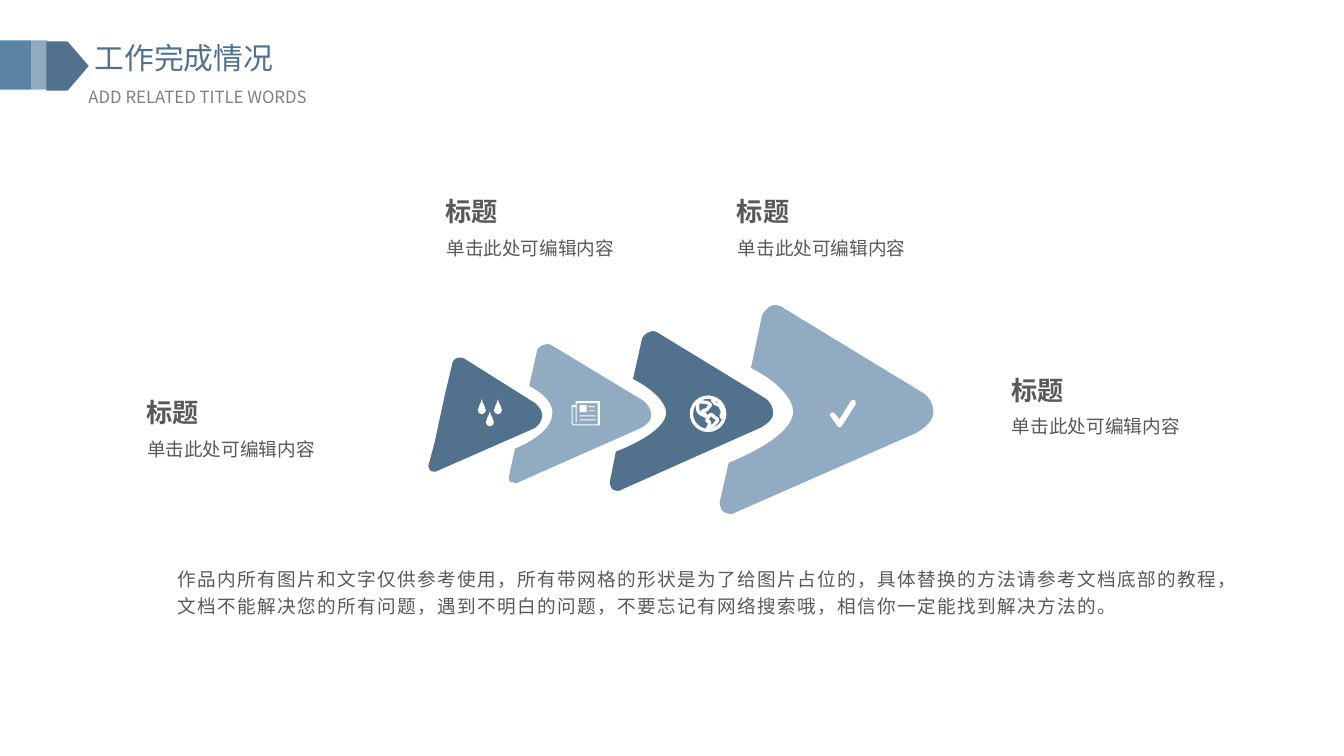
from lxml.etree import SubElement
from pptx import Presentation
from pptx.dml.color import RGBColor
from pptx.enum.shapes import MSO_SHAPE
from pptx.enum.text import MSO_ANCHOR
from pptx.oxml.ns import qn
from pptx.util import Emu, Pt

PX = 9144  # EMU in one px, a hundredth of an inch
SLIDE_SIZE = Emu(12192000), Emu(6858000)
FONT = "Noto Sans CJK SC"
WHITE = RGBColor(0xFF, 0xFF, 0xFF)
PAPER = RGBColor(0xFC, 0xFC, 0xFC)
NAVY = RGBColor(0x51, 0x71, 0x8D)
BLUE = RGBColor(0x5B, 0x83, 0xA4)
PALE = RGBColor(0x91, 0xAA, 0xC0)
SKY = RGBColor(0x91, 0xAC, 0xC2)
GREY = RGBColor(0x80, 0x80, 0x80)
INK = RGBColor(0x59, 0x59, 0x59)

# In an outline a pair is a corner and a sextuple is a Bézier curve.
LEADERS = [
    [(892, 377), (922, 345), (1171, 345)],
    [(488, 410), (458, 379), (209, 379)],
    [(686, 378), (697, 328), (759, 269)],
    [(572, 377), (561, 327), (498, 268)],
]
DROPLET_ARROW = [
    (442, 389), (449, 360), (449, 360, 450, 356, 454, 355),
    (458, 354, 461, 356, 461, 356), (531, 400),
    (531, 400, 538, 406, 538, 411), (538, 421, 530, 425, 530, 425),
    (432, 468), (432, 468, 429, 468, 427, 467),
    (425, 465, 425, 462, 425, 462), (431, 440)]
CHECK_ARROW = [
    (926, 409), (926, 421, 908, 430, 908, 430), (726, 510),
    (726, 510, 720, 510, 717, 507), (714, 504, 714, 498, 714, 498),
    (723, 459), (723, 459, 787, 435, 787, 408),
    (785, 384, 745, 365, 745, 365), (756, 313),
    (756, 313, 759, 306, 766, 303), (772, 301, 778, 306, 778, 306),
    (916, 390), (916, 390, 926, 396, 926, 409)]
NEWS_ARROW = [
    (646, 412), (646, 420, 635, 425, 635, 425), (513, 479),
    (513, 479, 509, 479, 506, 478), (504, 475, 505, 472, 505, 472),
    (511, 445), (511, 445, 548, 431, 548, 410),
    (549, 394, 525, 383, 525, 383), (533, 347),
    (533, 347, 535, 343, 540, 342), (544, 340, 548, 343, 548, 343),
    (639, 398), (639, 398, 646, 404, 646, 412)]
GLOBE_ARROW = [
    (767, 410), (767, 419, 753, 425, 753, 425), (614, 487),
    (614, 487, 609, 487, 607, 485), (605, 482, 605, 478, 605, 478),
    (611, 448), (611, 448, 661, 430, 661, 409),
    (659, 391, 628, 376, 628, 376), (637, 336),
    (637, 336, 639, 331, 645, 329), (649, 327, 654, 331, 654, 331),
    (759, 395), (759, 395, 767, 400, 767, 410)]
DROP = [(0, 0), (-1, 6, -4, 7, -4, 11), (-4, 13, -2, 15, 0, 15),
        (2, 15, 4, 13, 4, 11), (4, 7, 1, 6, 0, 0)]
DROP_TIPS = [(478, 396), (494, 396), (486, 408)]
CHECK = [(833, 424), (832, 424, 831, 423, 831, 423), (824, 413),
         (823, 412, 823, 411, 824, 410), (825, 409, 827, 409, 828, 410),
         (833, 416), (844, 398), (845, 397, 847, 396, 848, 397),
         (849, 398, 849, 399, 849, 401), (835, 423),
         (835, 423, 834, 424, 833, 424)]
NEWSPAPER = [
    [(595, 398), (571, 398), (571, 402), (567, 402), (567, 420),
     (567, 421, 568, 422, 569, 422), (595, 422)],
    [(593, 421), (569, 421), (568, 420), (568, 404), (571, 404), (571, 419),
     (572, 419), (572, 400), (593, 400)],
]
NEWS_ITEMS = [(575, 402, 7, 7), (584, 403, 6, 1), (584, 407, 6, 1),
              (575, 412, 16, 1), (575, 416, 16, 1)]
NORTH_LAND = [(692, 404), (692, 406, 692, 409, 696, 411),
              (700, 413, 701, 413, 701, 413), (701, 414, 700, 414, 700, 412),
              (701, 411, 700, 412, 699, 412), (699, 412, 699, 411, 699, 410),
              (699, 409, 698, 411, 697, 409), (697, 408, 698, 407, 699, 407),
              (702, 408, 701, 406, 703, 404), (708, 401, 702, 399, 698, 399),
              (695, 398, 691, 399, 692, 401), (693, 402, 692, 403, 692, 404)]
SOUTH_LAND = [(702, 416), (702, 418, 700, 416, 702, 418),
              (704, 420, 704, 416, 704, 420), (704, 425, 700, 425, 703, 424),
              (706, 423, 706, 424, 708, 422), (710, 420, 711, 418, 712, 417),
              (713, 415, 711, 416, 709, 414), (708, 413, 706, 410, 704, 412),
              (702, 414, 702, 416, 702, 416)]
EAST_COAST = [(707, 395), (707, 396, 707, 399, 709, 400),
              (710, 401, 715, 402, 715, 404), (715, 406, 717, 407, 717, 409),
              (716, 411, 714, 413, 716, 414), (718, 416, 718, 415, 718, 415)]
CAPTIONS = [(442, 194), (731, 194), (1003, 371), (145, 393)]
NOTE = ("作品内所有图片和文字仅供参考使用，所有带网格的形状是为了给图片占位的，"
        "具体替换的方法请参考文档底部的教程，文档不能解决您的所有问题，"
        "遇到不明白的问题，不要忘记有网络搜索哦，相信你一定能找到解决方法的。")


def paint(shape, fill=None, line=None, width=2.38):
    shape.shadow.inherit = False
    if fill is None:
        shape.fill.background()
    else:
        shape.fill.solid()
        shape.fill.fore_color.rgb = fill
    if line is None:
        shape.line.fill.background()
    else:
        shape.line.color.rgb = line
        shape.line.width = Pt(width)


def add_preset(slide, preset, box, **colours):
    shape = slide.shapes.add_shape(preset, *(Emu(v * PX) for v in box))
    paint(shape, **colours)


def corners_of(outline):
    return [part[i:i + 2] for part in outline for i in range(0, len(part), 2)]


def bend(shape, outlines):
    """Join each curve's three line segments into one Bézier segment."""
    segments = iter(list(shape._element.iter(qn("a:lnTo"))))
    for outline in outlines:
        for part in outline[1:]:
            segment = next(segments)
            if len(part) == 6:
                segment.tag = qn("a:cubicBezTo")
                for _ in range(2):
                    extra = next(segments)
                    segment.append(extra[0])
                    extra.getparent().remove(extra)


def add_outline(slide, *outlines, close=True, **colours):
    first, *others = map(corners_of, outlines)
    builder = slide.shapes.build_freeform(*first[0], scale=PX)
    builder.add_line_segments(first[1:], close=close)
    for corners in others:
        builder.move_to(*corners[0])
        builder.add_line_segments(corners[1:], close=close)
    shape = builder.convert_to_shape()
    bend(shape, outlines)
    paint(shape, **colours)
    return shape


def add_leader(slide, bends):
    leader = add_outline(slide, bends, close=False, line=WHITE, width=1)
    stroke = leader.line._get_or_add_ln()
    SubElement(stroke, qn("a:headEnd")).set("type", "oval")
    SubElement(stroke, qn("a:tailEnd")).set("type", "stealth")


def add_text(slide, text, box, size, colour=INK, bold=False, inset=(0, 0),
             tracking=None, line_pitch=None):
    frame = slide.shapes.add_textbox(*(Emu(v * PX) for v in box)).text_frame
    frame.word_wrap = True
    frame.vertical_anchor = MSO_ANCHOR.MIDDLE
    frame.margin_left = frame.margin_right = Emu(inset[0] * PX)
    frame.margin_top = frame.margin_bottom = Emu(inset[1] * PX)
    paragraph = frame.paragraphs[0]
    if line_pitch:
        paragraph.line_spacing = Pt(line_pitch)
    run = paragraph.add_run()
    run.text = text
    run.font.size = Pt(size)
    run.font.bold = bold
    run.font.color.rgb = colour
    run.font.name = FONT
    properties = run.font._element
    SubElement(properties, qn("a:ea")).set("typeface", FONT)
    if tracking:
        properties.set("spc", str(tracking * 100))


def add_header(slide):
    add_text(slide, "工作完成情况", (84, 34, 268, 46), 21.3, NAVY, inset=(10, 5))
    add_text(slide, "ADD RELATED TITLE WORDS", (78, 81, 297, 30), 12, GREY,
             inset=(10, 5))
    add_preset(slide, MSO_SHAPE.RECTANGLE, (0, 40, 31, 49), fill=BLUE)
    add_preset(slide, MSO_SHAPE.RECTANGLE, (31, 40, 16, 49), fill=PALE)
    add_preset(slide, MSO_SHAPE.PENTAGON, (46, 41, 42, 49), fill=NAVY)


def add_arrows(slide):
    add_outline(slide, DROPLET_ARROW, fill=NAVY)
    drops = [[tuple(v + tip[i % 2] for i, v in enumerate(part)) for part in DROP]
             for tip in DROP_TIPS]
    add_outline(slide, *drops, fill=WHITE)
    add_outline(slide, CHECK_ARROW, fill=SKY)
    add_outline(slide, CHECK, fill=WHITE)
    add_outline(slide, NEWS_ARROW, fill=SKY)
    add_outline(slide, *NEWSPAPER, fill=PAPER)
    for item in NEWS_ITEMS:
        add_preset(slide, MSO_SHAPE.RECTANGLE, item, fill=PAPER)
    add_outline(slide, GLOBE_ARROW, fill=NAVY)
    add_preset(slide, MSO_SHAPE.OVAL, (686, 394, 33, 33), line=WHITE)
    for land in (NORTH_LAND, SOUTH_LAND):
        add_outline(slide, land, line=WHITE)
    add_outline(slide, EAST_COAST, close=False, line=WHITE)


def add_caption(slide, left, top):
    add_text(slide, "标题", (left, top, 238, 31), 18.7, bold=True)
    add_text(slide, "单击此处可编辑内容", (left + 1, top + 41, 226, 22), 13.3)


def main():
    deck = Presentation()
    deck.slide_width, deck.slide_height = SLIDE_SIZE
    slide = deck.slides.add_slide(deck.slide_layouts[6])
    add_header(slide)
    for bends in LEADERS:
        add_leader(slide, bends)
    add_arrows(slide)
    for left, top in CAPTIONS:
        add_caption(slide, left, top)
    add_text(slide, NOTE, (176, 559, 1042, 54), 13.3, tracking=1, line_pitch=19.2)
    deck.save("out.pptx")


if __name__ == "__main__":
    main()
